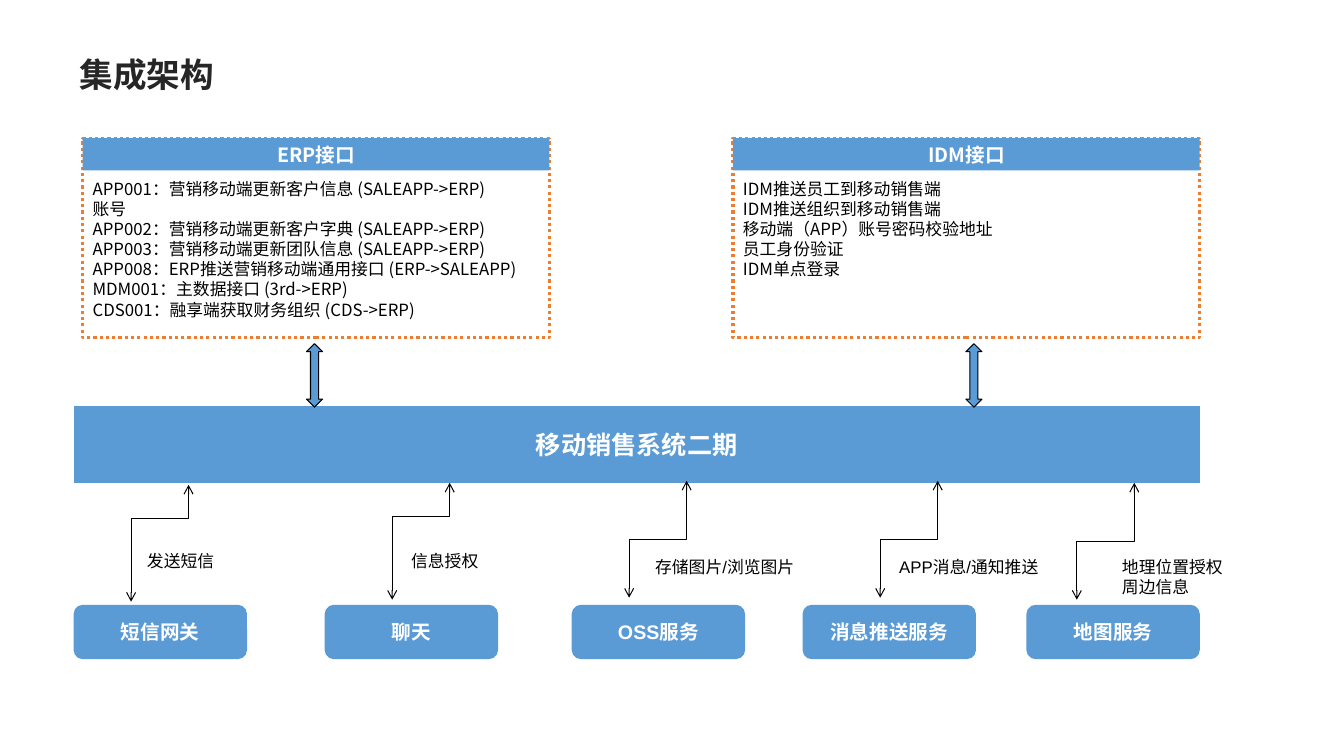
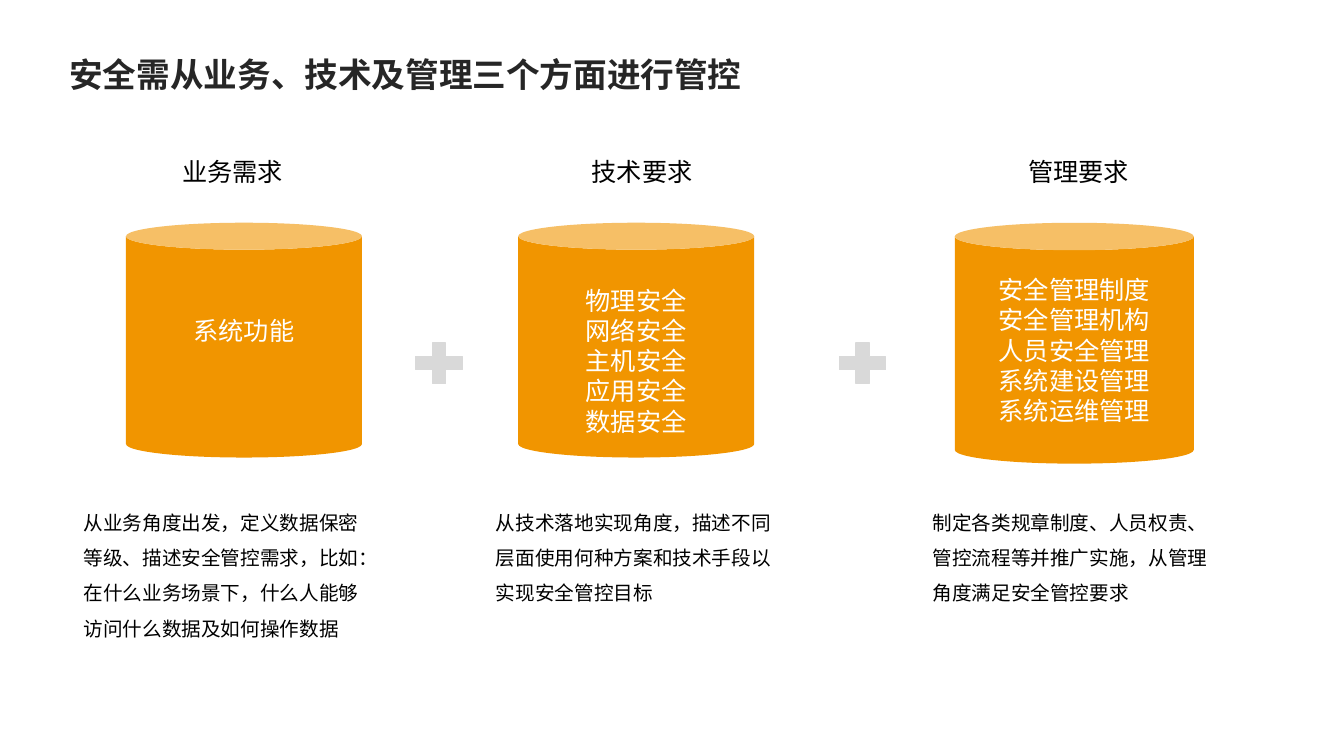
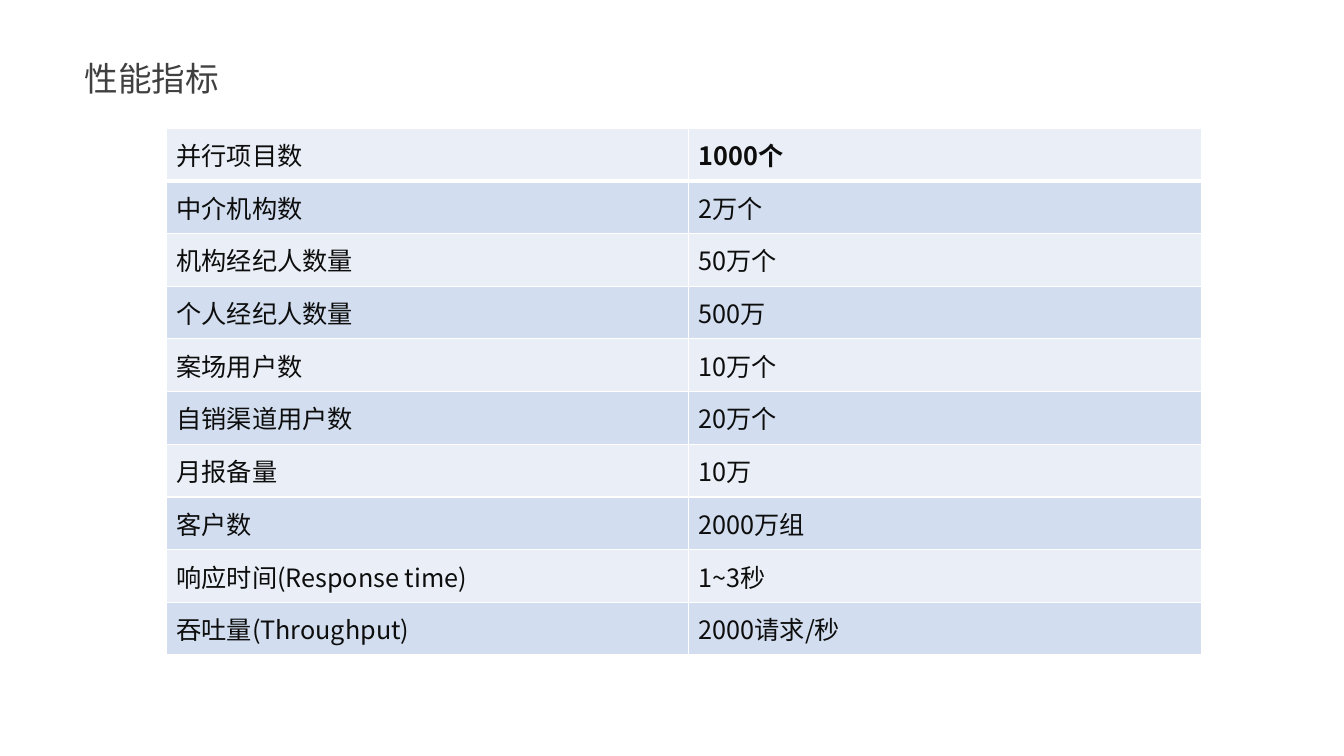
from lxml import etree
from pptx import Presentation
from pptx.dml.color import RGBColor
from pptx.enum.dml import MSO_LINE
from pptx.enum.shapes import MSO_CONNECTOR, MSO_SHAPE
from pptx.enum.text import MSO_ANCHOR, MSO_AUTO_SIZE, PP_ALIGN
from pptx.oxml.ns import qn
from pptx.util import Inches, Pt

CENTER, LEFT = PP_ALIGN.CENTER, PP_ALIGN.LEFT
MIDDLE, TOP = MSO_ANCHOR.MIDDLE, MSO_ANCHOR.TOP
FIT_SHAPE = MSO_AUTO_SIZE.SHAPE_TO_FIT_TEXT
RECTANGLE, ROUNDED = MSO_SHAPE.RECTANGLE, MSO_SHAPE.ROUNDED_RECTANGLE
PROCESS, DOUBLE_ARROW = MSO_SHAPE.FLOWCHART_PROCESS, MSO_SHAPE.UP_DOWN_ARROW
CYLINDER, PLUS = MSO_SHAPE.CAN, MSO_SHAPE.MATH_PLUS
ELBOW, DOTTED = MSO_CONNECTOR.ELBOW, MSO_LINE.ROUND_DOT

BLUE, ORANGE, AMBER = "5B9BD5", "ED7D31", "F19500"
BLACK, WHITE, GREY = "000000", "FFFFFF", "D9D9D9"
TITLE_DARK, TITLE_GREY, CELL_TEXT = "262626", "404040", "0D0D0D"
LIGHT_BAND, DARK_BAND = "EAEFF7", "D2DEEF"
SC, JP, ARIAL = "Noto Sans CJK SC", "Noto Sans CJK JP", "Arial"

# Slide 1
INTEGRATION_TITLE = "集成架构"
SYSTEM_NAME = "移动销售系统二期"
# left, heading, lines, wrapped, left of the arrow below
INTERFACES = [
    (0.82, "ERP接口", [
        "APP001：营销移动端更新客户信息 (SALEAPP->ERP)",
        "账号",
        "APP002：营销移动端更新客户字典 (SALEAPP->ERP)",
        "APP003：营销移动端更新团队信息 (SALEAPP->ERP)",
        "APP008：ERP推送营销移动端通用接口 (ERP->SALEAPP)",
        "MDM001：主数据接口 (3rd->ERP)",
        "CDS001：融享端获取财务组织 (CDS->ERP)",
    ], False, 3.04),
    (7.27, "IDM接口", [
        "IDM推送员工到移动销售端",
        "IDM推送组织到移动销售端",
        "移动端（APP）账号密码校验地址",
        "员工身份验证",
        "IDM单点登录",
    ], True, 9.58),
]
# name, left, connector (foot x, top, bend), label lines, label box, wrapped
SERVICES = [
    ("短信网关", 0.73, (1.3, 4.81, 0.29), ["发送短信"], (1.36, 5.41, 0.87, 0.3), False),
    ("聊天", 3.22, (3.89, 4.79, 0.29), ["信息授权"], (3.98, 5.41, 0.87, 0.3), False),
    ("OSS服务", 5.67, (6.24, 4.77, 0.5), ["存储图片/浏览图片"], (6.4, 5.47, 1.6, 0.5), True),
    ("消息推送服务", 7.96, (8.73, 4.77, 0.5), ["APP消息/通知推送"], (8.82, 5.47, 1.59, 0.5), True),
    ("地图服务", 10.18, (10.68, 4.79, 0.5), ["地理位置授权", "周边信息"],
     (11.03, 5.47, 1.2, 0.5), False),
]

# Slide 2
SECURITY_TITLE = "安全需从业务、技术及管理三个方面进行管控"
# heading, its left, cylinder (left, width, height), items, anchor, top inset,
# description, its left
ASPECTS = [
    ("业务需求", 1.71, (1.25, 2.34, 2.33), ["系统功能"], TOP, 0.65,
     "从业务角度出发，定义数据保密等级、描述安全管控需求，比如："
     "在什么业务场景下，什么人能够访问什么数据及如何操作数据", 0.73),
    ("技术要求", 5.77, (5.14, 2.34, 2.33),
     ["物理安全", "网络安全", "主机安全", "应用安全", "数据安全"], TOP, 0.35,
     "从技术落地实现角度，描述不同层面使用何种方案和技术手段以实现安全管控目标", 4.82),
    ("管理要求", 10.1, (9.47, 2.37, 2.39),
     ["安全管理制度", "安全管理机构", "人员安全管理", "系统建设管理", "系统运维管理"],
     MIDDLE, 0.05,
     "制定各类规章制度、人员权责、管控流程等并推广实施，从管理角度满足安全管控要求", 9.15),
]
PLUS_LEFTS = [4.04, 8.24]

# Slide 3
PERFORMANCE_TITLE = "性能指标"
METRICS = [
    ("并行项目数", "1000个"),
    ("中介机构数", "2万个"),
    ("机构经纪人数量", "50万个"),
    ("个人经纪人数量", "500万"),
    ("案场用户数", "10万个"),
    ("自销渠道用户数", "20万个"),
    ("月报备量", "10万"),
    ("客户数", "2000万组"),
    ("响应时间(Response time)", "1~3秒"),
    ("吞吐量(Throughput)", "2000请求/秒"),
]
COLUMN_WIDTHS = [5.18, 5.09]
TABLE_BOX = (1.65, 1.27, 10.27, 5.23)


def rgb(value):
    return RGBColor.from_string(value)


def inches(values):
    return [Inches(value) for value in values]


def write(frame, lines, size, font=JP, color=BLACK, bold=False, align=LEFT, spacing=None):
    """Fill a text frame with one paragraph per line."""
    for index, line in enumerate(lines):
        paragraph = frame.add_paragraph() if index else frame.paragraphs[0]
        paragraph.alignment = align
        paragraph.line_spacing = spacing
        run = paragraph.add_run()
        run.text = line
        run.font.color.rgb = rgb(color)
        for name, value in {"size": Pt(size), "name": font, "bold": bold}.items():
            setattr(run.font, name, value)
        east_asian = etree.SubElement(run.font._element, qn("a:ea"))
        east_asian.set("typeface", SC if font == ARIAL else font)


def add_text(slide, box, lines, size, wrapped=True, **style):
    frame = slide.shapes.add_textbox(*inches(box)).text_frame
    frame.word_wrap = wrapped
    frame.auto_size = FIT_SHAPE
    write(frame, lines, size, **style)


def add_title(slide, text, left, top=0.49, width=9, color=TITLE_DARK, bold=True):
    add_text(slide, (left, top, width, 0.5), [text], 24, color=color, bold=bold)


def add_shape(slide, kind, box, fill=None, line=None, width=0.75, adjustment=None):
    shape = slide.shapes.add_shape(kind, *inches(box))
    shape.shadow.inherit = False
    if fill:
        shape.fill.solid()
        shape.fill.fore_color.rgb = rgb(fill)
    else:
        shape.fill.background()
    if line:
        shape.line.color.rgb = rgb(line)
        shape.line.width = Pt(width)
    else:
        shape.line.fill.background()
    if adjustment is not None:
        shape.adjustments[0] = adjustment
    return shape


def label_shape(shape, lines, size, anchor=MIDDLE, margins=None, **style):
    frame = shape.text_frame
    frame.word_wrap = True
    frame.vertical_anchor = anchor
    for side, value in (margins or {}).items():
        setattr(frame, f"margin_{side}", Inches(value))
    write(frame, lines, size, color=WHITE, align=CENTER, **style)


def add_elbow(slide, foot_x, top, bend):
    """Draw a two-headed elbow that falls to foot_x, as a flat elbow turned by 90 degrees."""
    drop, shift = 1.16, 0.57
    left = foot_x + shift / 2 - drop / 2
    flat_top = top + drop / 2 - shift / 2
    connector = slide.shapes.add_connector(
        ELBOW, *inches((left, flat_top, left + drop, flat_top + shift)))
    connector.line.color.rgb = rgb(BLACK)
    connector.line.width = Pt(0.75)
    properties = connector._element.spPr
    properties.find(qn("a:xfrm")).set("rot", "5400000")
    geometry = properties.find(qn("a:prstGeom"))
    guides = geometry.find(qn("a:avLst"))
    if guides is None:
        guides = etree.SubElement(geometry, qn("a:avLst"))
    etree.SubElement(guides, qn("a:gd"), name="adj1", fmla=f"val {round(bend * 100000)}")
    for end in ("a:headEnd", "a:tailEnd"):
        etree.SubElement(properties.find(qn("a:ln")), qn(end), type="arrow")
    etree.SubElement(properties, qn("a:effectLst"))


def set_borders(cell, widths):
    """Give the cell white borders; widths maps a side letter to points."""
    properties = cell._tc.get_or_add_tcPr()
    for side, width in widths.items():
        line = etree.SubElement(properties, qn(f"a:ln{side}"), w=str(Pt(width)))
        fill = etree.SubElement(line, qn("a:solidFill"))
        etree.SubElement(fill, qn("a:srgbClr"), val=WHITE)


def build_integration(slide):
    add_title(slide, INTEGRATION_TITLE, 0.69, width=2.97)
    system = add_shape(slide, PROCESS, (0.73, 4.03, 11.17, 0.76), BLUE)
    label_shape(system, [SYSTEM_NAME], 18, font=SC, bold=True)
    for left, heading, lines, wrapped, arrow_left in INTERFACES:
        frame = add_shape(slide, RECTANGLE, (left, 1.37, 4.63, 1.98), line=ORANGE, width=2.25)
        frame.line.dash_style = DOTTED
        header = add_shape(slide, RECTANGLE, (left, 1.37, 4.63, 0.32), BLUE)
        label_shape(header, [heading], 14, font=SC, bold=True)
        add_text(slide, (left, 1.72, 4.63, 0.1 + 0.2 * len(lines)), lines, 12, wrapped)
        add_shape(slide, DOUBLE_ARROW, (arrow_left, 3.41, 0.16, 0.63), BLUE, BLACK)
    margins = dict.fromkeys(("left", "top", "right", "bottom"), 0.07)
    for name, left, elbow, label, label_box, wrapped in SERVICES:
        service = add_shape(slide, ROUNDED, (left, 6, 1.72, 0.54), BLUE, adjustment=0.17)
        label_shape(service, [name], 14, margins=margins, font=ARIAL, bold=True)
        add_elbow(slide, *elbow)
        add_text(slide, label_box, label, 12, wrapped, font=ARIAL)


def build_security(slide):
    add_title(slide, SECURITY_TITLE, 0.59)
    for left in PLUS_LEFTS:
        add_shape(slide, PLUS, (left, 3.33, 0.63, 0.55), GREY, GREY)
    for heading, heading_left, can, items, anchor, inset, description, text_left in ASPECTS:
        add_text(slide, (heading_left, 1.5, 1.2, 0.4), [heading], 18, wrapped=False)
        left, width, height = can
        cylinder = add_shape(slide, CYLINDER, (left, 2.21, width, height), AMBER,
                             adjustment=0.115)
        label_shape(cylinder, items, 18, anchor, {"top": inset}, font=SC)
        add_text(slide, (text_left, 4.9, 3.11, 1.16), [description], 14, spacing=1.5)


def build_performance(slide):
    add_title(slide, PERFORMANCE_TITLE, 0.74, top=0.53, color=TITLE_GREY, bold=False)
    table = slide.shapes.add_table(
        len(METRICS), len(COLUMN_WIDTHS), *inches(TABLE_BOX)).table
    table.first_row = table.horz_banding = False
    for column, width in zip(table.columns, COLUMN_WIDTHS):
        column.width = Inches(width)
    for row, metric in enumerate(METRICS):
        for column, text in enumerate(metric):
            cell = table.cell(row, column)
            set_borders(cell, {"L": 1, "R": 1, "T": 3 if row == 1 else 1,
                               "B": 3 if row == 0 else 1})
            cell.fill.solid()
            cell.fill.fore_color.rgb = rgb(DARK_BAND if row % 2 else LIGHT_BAND)
            cell.vertical_anchor = MIDDLE
            write(cell.text_frame, [text], 18, color=CELL_TEXT, bold=(row, column) == (0, 1))


def main():
    presentation = Presentation()
    presentation.slide_width, presentation.slide_height = Inches(13.33), Inches(7.5)
    blank = presentation.slide_layouts[6]
    for build in (build_integration, build_security, build_performance):
        build(presentation.slides.add_slide(blank))
    presentation.save("out.pptx")


if __name__ == "__main__":
    main()
